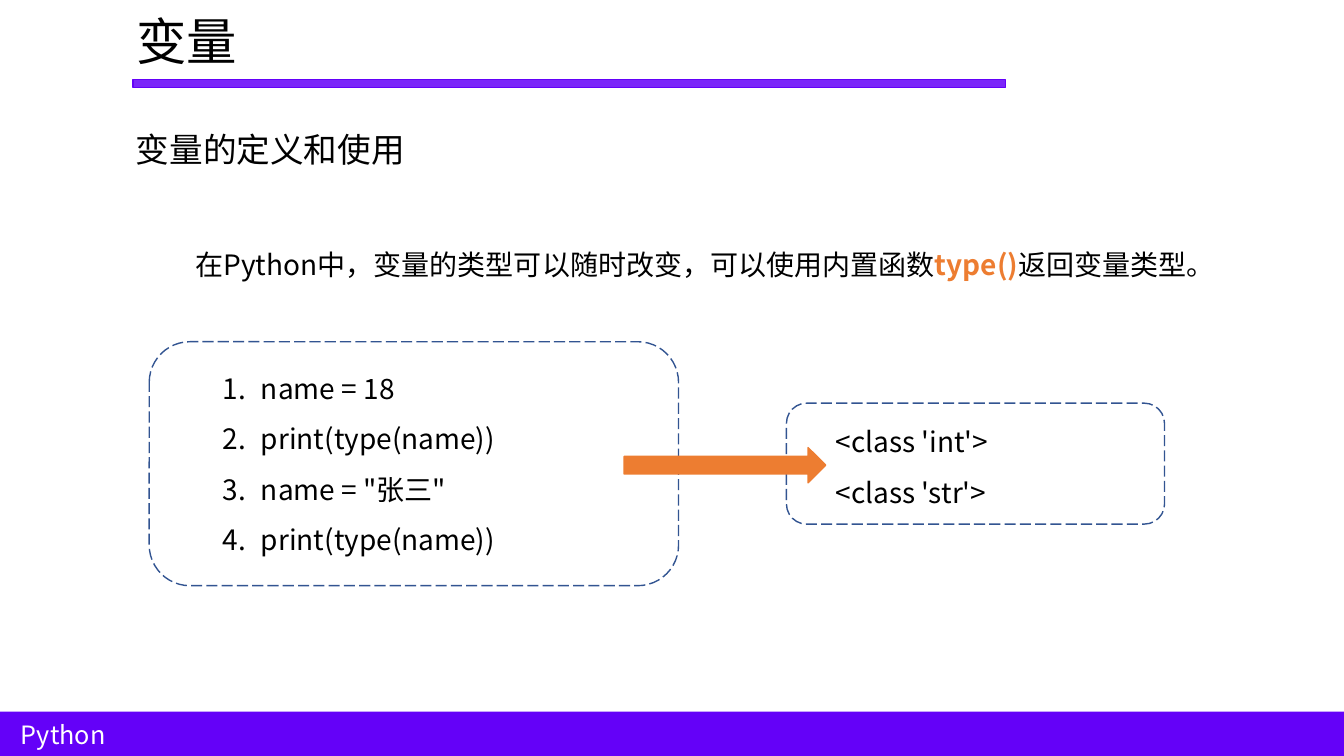
from dataclasses import dataclass

from lxml import etree
from pptx import Presentation
from pptx.dml.color import RGBColor
from pptx.enum.dml import MSO_LINE
from pptx.enum.shapes import MSO_SHAPE
from pptx.enum.text import MSO_ANCHOR, MSO_AUTO_SIZE, PP_ALIGN
from pptx.oxml.ns import qn
from pptx.util import Inches, Pt

RECT = MSO_SHAPE.RECTANGLE
ROUNDED = MSO_SHAPE.ROUNDED_RECTANGLE
ARROW = MSO_SHAPE.RIGHT_ARROW
LONG_DASH = MSO_LINE.LONG_DASH

FONT = "Noto Sans CJK SC"
PURPLE = RGBColor(0x64, 0x01, 0xF8)
ORANGE = RGBColor(0xED, 0x7D, 0x31)
NAVY = RGBColor(0x32, 0x54, 0x91)
BLACK = RGBColor(0, 0, 0)
WHITE = RGBColor(0xFF, 0xFF, 0xFF)


@dataclass
class Area:
    left: float
    top: float
    width: float
    height: float

    def lengths(self) -> list:
        return [Inches(v) for v in (self.left, self.top, self.width, self.height)]


@dataclass
class Run:
    text: str
    color: RGBColor = BLACK
    bold: bool = False


@dataclass
class TextBlock:
    area: Area
    lines: list[list[Run]]
    size: int = 20
    spacing: float = 1.0
    margin: float = 0
    indent: float = 0
    numbered: bool = False


@dataclass
class Panel:
    """A dashed frame grouped with its text."""
    frame: Area
    text: TextBlock


def fill_text(shape, block: TextBlock) -> None:
    frame = shape.text_frame
    formats = {"word_wrap": True, "vertical_anchor": MSO_ANCHOR.TOP,
               "auto_size": MSO_AUTO_SIZE.SHAPE_TO_FIT_TEXT}
    for name, value in formats.items():
        setattr(frame, name, value)
    for number, line in enumerate(block.lines):
        paragraph = frame.add_paragraph() if number else frame.paragraphs[0]
        paragraph.alignment = PP_ALIGN.LEFT
        paragraph.line_spacing = block.spacing
        properties = paragraph._p.get_or_add_pPr()
        properties.set("marL", str(Inches(block.margin)))
        properties.set("indent", str(Inches(block.indent)))
        if block.numbered:
            etree.SubElement(properties, qn("a:buFont"), typeface="+mj-lt")
            etree.SubElement(properties, qn("a:buAutoNum"), type="arabicPeriod")
        for part in line:
            run = paragraph.add_run()
            run.text = part.text
            font_formats = {"name": FONT, "size": Pt(block.size), "bold": part.bold}
            for name, value in font_formats.items():
                setattr(run.font, name, value)
            run.font.color.rgb = part.color
            etree.SubElement(run._r.get_or_add_rPr(), qn("a:ea"), typeface=FONT)


def add_text(shapes, block: TextBlock) -> None:
    fill_text(shapes.add_textbox(*block.area.lengths()), block)


def add_shape(shapes, preset, area: Area, fill: RGBColor | None = None,
              line: RGBColor | None = None, dash=None):
    shape = shapes.add_shape(preset, *area.lengths())
    shape.shadow.inherit = False
    if fill is None:
        shape.fill.background()
    else:
        shape.fill.solid()
        shape.fill.fore_color.rgb = fill
    if line is None:
        shape.line.fill.background()
    else:
        shape.line.color.rgb = line
        shape.line.width = Pt(1)
        if dash is not None:
            shape.line.dash_style = dash
    return shape


def add_panel(shapes, panel: Panel) -> None:
    group = shapes.add_group_shape()
    add_text(group.shapes, panel.text)
    add_shape(group.shapes, ROUNDED, panel.frame, line=NAVY, dash=LONG_DASH)


TITLE = TextBlock(Area(1.25, 0.05, 4.2, 0.71), [[Run("变量")]], size=36)

TEXTS = [
    TextBlock(Area(0.11, 7.09, 2.68, 0.41), [[Run("Python", WHITE)]], size=18),
    TextBlock(Area(1.25, 1.23, 4.83, 0.5), [[Run("变量的定义和使用")]], size=24),
    TextBlock(Area(1.28, 2.24, 11.01, 0.6),
              [[Run("在Python中，变量的类型可以随时改变，可以使用内置函数"),
                Run("type()", ORANGE, True),
                Run("返回变量类型。")]],
              spacing=1.5, indent=0.56),
]

CODE = ["name = 18", "print(type(name))", 'name = "张三"', "print(type(name))"]
OUTPUT = ["<class 'int'>", "<class 'str'>"]

PANELS = [
    Panel(Area(1.48, 3.39, 5.25, 2.42),
          TextBlock(Area(2.11, 3.47, 3.8, 2.12), [[Run(line)] for line in CODE],
                    spacing=1.5, margin=0.38, indent=-0.38, numbered=True)),
    Panel(Area(7.8, 4, 3.75, 1.2),
          TextBlock(Area(8.19, 4, 2.74, 1.11), [[Run(line)] for line in OUTPUT],
                    spacing=1.5)),
]


def main() -> None:
    deck = Presentation()
    deck.slide_width, deck.slide_height = Inches(13.33), Inches(7.5)
    slide = deck.slides.add_slide(deck.slide_layouts[5])
    shapes = slide.shapes

    # Title with its translucent rule, and the footer band
    title = shapes.title
    title.left, title.top, title.width, title.height = TITLE.area.lengths()
    fill_text(title, TITLE)
    rule = add_shape(shapes, RECT, Area(1.32, 0.79, 8.65, 0.08), PURPLE, PURPLE)
    rule_color = rule._element.spPr.find(qn("a:solidFill"))[0]
    etree.SubElement(rule_color, qn("a:alpha"), val="85000")
    add_shape(shapes, RECT, Area(0, 7.06, 13.33, 0.45), PURPLE)

    # Footer label, subtitle and explanation
    for block in TEXTS:
        add_text(shapes, block)

    # Code, its output, and the arrow between them
    for panel in PANELS:
        add_panel(shapes, panel)
    add_shape(shapes, ARROW, Area(6.19, 4.44, 2, 0.35), ORANGE, ORANGE)

    deck.save("out.pptx")


if __name__ == "__main__":
    main()
